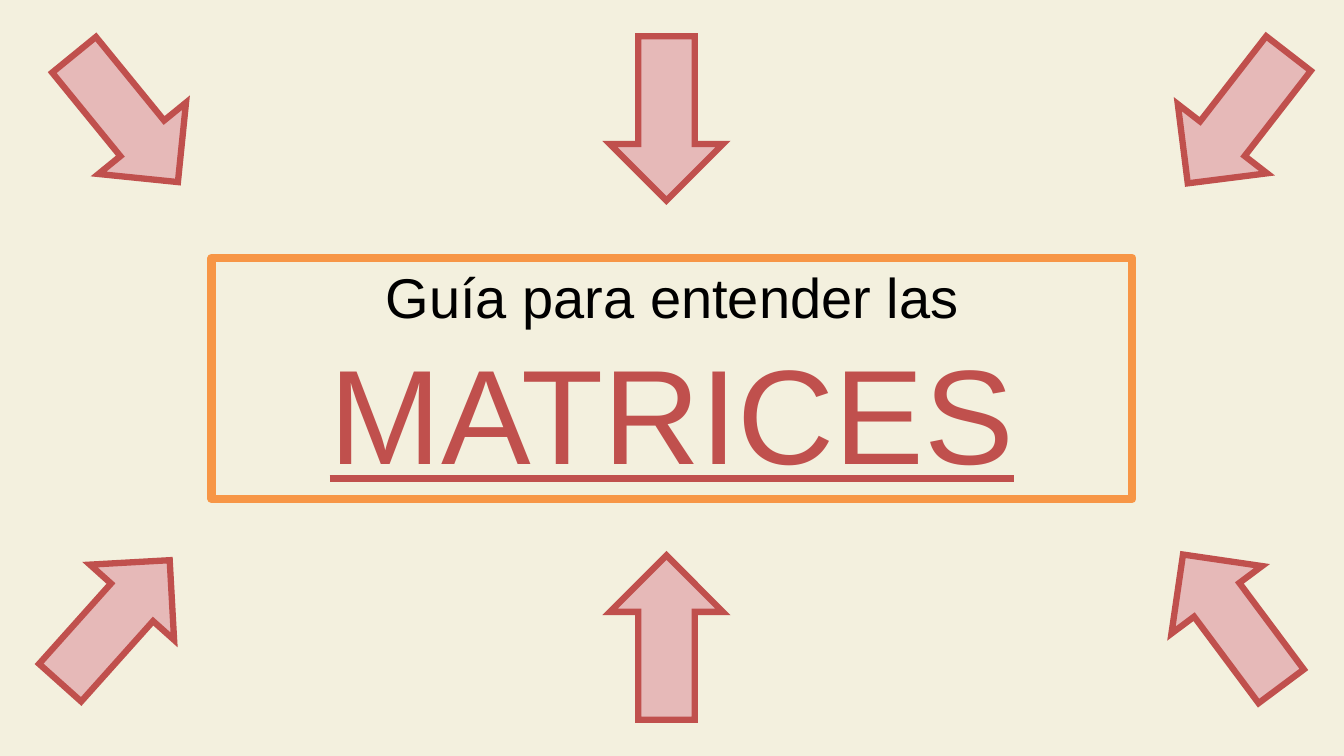
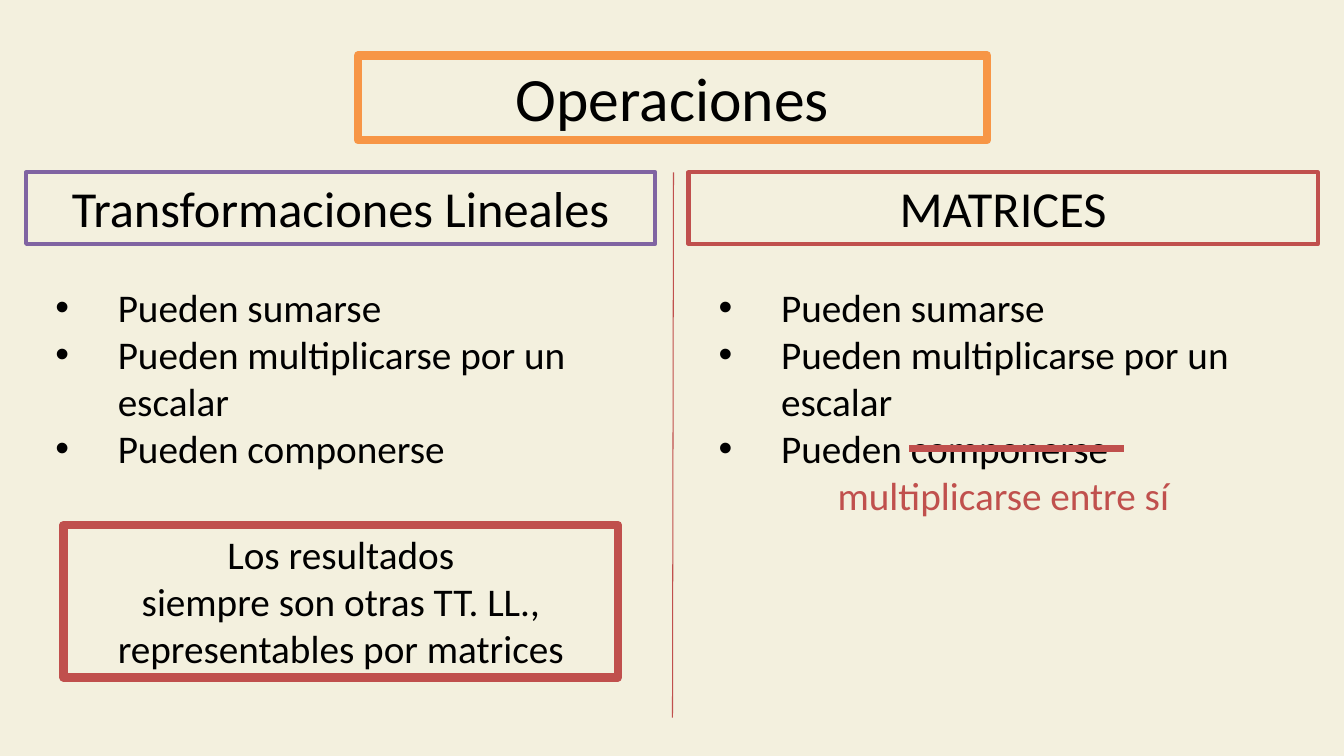
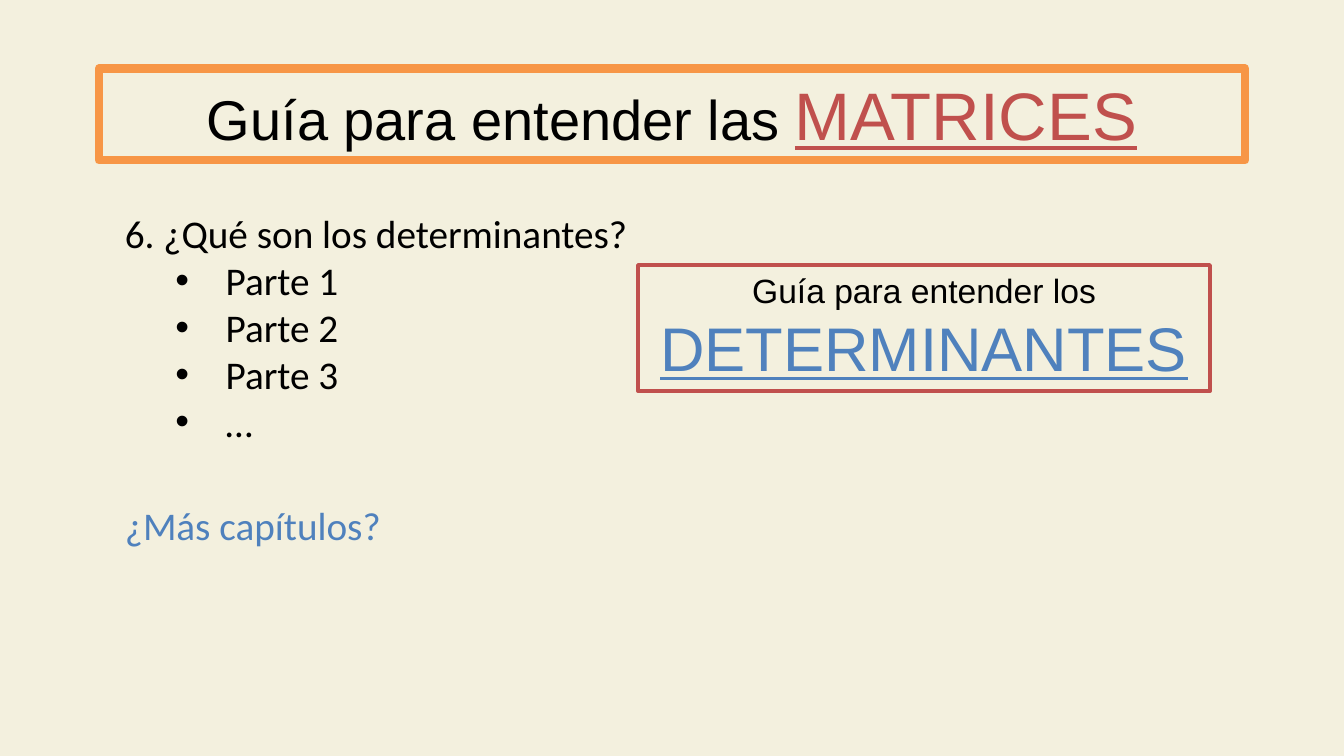
from dataclasses import dataclass
from typing import Optional

from lxml import etree
from pptx import Presentation
from pptx.dml.color import RGBColor
from pptx.enum import shapes, text
from pptx.oxml import ns
from pptx.util import Inches, Pt

CREAM, BLACK, ORANGE, RED = "F3F0DE", "000000", "F79646", "C0504D"
PINK, PURPLE, BLUE = "E6B9B8", "8064A2", "4F81BD"
ARROW_W, ARROW_H = 1.12, 1.63


@dataclass(frozen=True)
class Run:
    """A piece of text with one look."""
    text: str
    size: float
    font: str = "Calibri"
    color: str = BLACK
    underline: bool = False


@dataclass(frozen=True)
class Para:
    """A paragraph; margin and indent are inches."""
    runs: tuple[Run, ...]
    bullet: bool = False
    margin: float = 0
    indent: float = 0


@dataclass(frozen=True)
class Box:
    """A text block, framed when it has a line colour."""
    left: float
    top: float
    width: float
    height: float
    paras: list[Para]
    line: Optional[str] = None
    weight: float = 3


@dataclass(frozen=True)
class Arrow:
    """A block arrow, turned clockwise from pointing down."""
    left: float
    top: float
    rotation: float = 0


def rgb(color: str) -> RGBColor:
    """Turn a hex string into a colour."""
    return RGBColor.from_string(color)


def add_xml(parent, tag: str, **attrs: str) -> None:
    """Append a DrawingML element."""
    etree.SubElement(parent, ns.qn(tag), attrs)


def outline(shape, color: str, weight: float, join: str) -> None:
    """Set a shape's line and its corner join."""
    shape.line.color.rgb = rgb(color)
    shape.line.width = Pt(weight)
    add_xml(shape.line._get_or_add_ln(), join)


def style(font, run: Run) -> None:
    """Apply a run's look to a font."""
    font.name, font.size = run.font, Pt(run.size)
    font.color.rgb = rgb(run.color)
    font.underline = run.underline


def write(tf, paras: list[Para], centred: bool) -> None:
    """Fill a text frame with paragraphs."""
    tf.word_wrap = True
    tf.auto_size = text.MSO_AUTO_SIZE.SHAPE_TO_FIT_TEXT
    tf.vertical_anchor = text.MSO_ANCHOR.TOP
    for i, para in enumerate(paras):
        p = tf.add_paragraph() if i else tf.paragraphs[0]
        p.alignment = text.PP_ALIGN.CENTER if centred else text.PP_ALIGN.LEFT
        pPr = p._p.get_or_add_pPr()
        pPr.set("marL", str(Inches(para.margin)))
        pPr.set("indent", str(Inches(para.indent)))
        if para.bullet:
            add_xml(pPr, "a:buFont", typeface="Arial")
            add_xml(pPr, "a:buChar", char="•")
        if len(para.runs) == 1:
            style(p.font, para.runs[0])
        for run in para.runs:
            r = p.add_run()
            r.text = run.text
            if len(para.runs) > 1:
                style(r.font, run)


def add_box(s, box: Box) -> None:
    """Draw a framed or plain text block."""
    area = [Inches(v) for v in (box.left, box.top, box.width, box.height)]
    if box.line:
        sp = s.shapes.add_shape(shapes.MSO_SHAPE.RECTANGLE, *area)
        sp.shadow.inherit = False
        sp.fill.background()
        outline(sp, box.line, box.weight, "a:round")
    else:
        sp = s.shapes.add_textbox(*area)
    write(sp.text_frame, box.paras, centred=box.line is not None)


def add_arrow(s, arrow: Arrow) -> None:
    """Draw a pink block arrow."""
    sp = s.shapes.add_shape(shapes.MSO_SHAPE.DOWN_ARROW, Inches(arrow.left), Inches(arrow.top),
                            Inches(ARROW_W), Inches(ARROW_H))
    sp.rotation = arrow.rotation
    sp.shadow.inherit = False
    sp.fill.solid()
    sp.fill.fore_color.rgb = rgb(PINK)
    outline(sp, RED, 4.5, "a:miter")


def add_line(s, x1: float, y1: float, x2: float, y2: float, weight: float) -> None:
    """Draw a straight red line."""
    c = s.shapes.add_connector(shapes.MSO_CONNECTOR.STRAIGHT,
                               Inches(x1), Inches(y1), Inches(x2), Inches(y2))
    c.line.color.rgb = rgb(RED)
    c.line.width = Pt(weight)
    add_xml(c._element.spPr, "a:effectLst")


def line_of(content: str, size: float = 28, **look) -> Para:
    """Make a paragraph of one run."""
    return Para((Run(content, size, **look),))


def bullets(items: list[str], margin: float, hang: float) -> list[Para]:
    """Make bulleted paragraphs with a hanging indent."""
    return [Para((Run(item, 28),), True, margin, -hang) for item in items]


def add_slide(prs, boxes: list[Box]):
    """Add a cream slide with its text blocks."""
    s = prs.slides.add_slide(prs.slide_layouts[6])
    s.background.fill.solid()
    s.background.fill.fore_color.rgb = rgb(CREAM)
    for box in boxes:
        add_box(s, box)
    return s


def cover(prs) -> None:
    """Build the title slide, ringed by arrows."""
    title = [line_of("Guía para entender las", 40, font="Arial"),
             line_of("MATRICES", 96, font="Arial", color=RED, underline=True)]
    s = add_slide(prs, [Box(2.1, 2.56, 9.13, 2.39, title, ORANGE, 6)])
    for arrow in (Arrow(6.05, 0.36), Arrow(6.05, 5.51, 180), Arrow(0.58, 5.35, 221.8),
                  Arrow(0.69, 0.36, 320.8), Arrow(11.72, 0.36, 37.8),
                  Arrow(11.66, 5.34, 143.3)):
        add_arrow(s, arrow)


def operations(prs) -> None:
    """Compare the operations of linear maps and matrices."""
    rules = bullets(["Pueden sumarse", "Pueden multiplicarse por un escalar",
                     "Pueden componerse"], 0.62, 0.62)
    product = Para((Run("multiplicarse entre sí", 28, color=RED),), margin=1.18)
    results = [line_of("Los resultados"),
               line_of("siempre son otras TT. LL., representables por matrices")]
    s = add_slide(prs, [
        Box(3.55, 0.55, 6.24, 0.84, [line_of("Operaciones", 44)], ORANGE, 6),
        Box(0.26, 1.71, 6.24, 0.71, [line_of("Transformaciones Lineales", 36)], PURPLE),
        Box(6.83, 1.71, 6.24, 0.71, [line_of("MATRICES", 36)], RED),
        Box(0.45, 2.76, 5.86, 1.99, rules),
        Box(7.03, 2.76, 5.86, 2.46, rules + [product]),
        Box(0.63, 5.21, 5.5, 1.51, results, RED, 6),
    ])
    add_line(s, 6.68, 1.71, 6.67, 7.12, 0.75)
    add_line(s, 9.02, 4.45, 11.15, 4.45, 4.5)


def chapters(prs) -> None:
    """List the chapters still to come."""
    title = Para((Run("Guía para entender las ", 40, "Arial"),
                  Run("MATRICES", 48, "Arial", RED, True)))
    parts = bullets(["Parte 1", "Parte 2", "Parte 3", "…"], 1, 0.5)
    guide = [line_of("Guía para entender los", 24, font="Arial"),
             line_of("DETERMINANTES", 44, font="Arial", color=BLUE, underline=True)]
    add_slide(prs, [
        Box(0.98, 0.68, 11.37, 0.91, [title], ORANGE, 6),
        Box(1.14, 2.03, 11.06, 2.46, [line_of("6. ¿Qué son los determinantes?")] + parts),
        Box(1.14, 4.92, 3.24, 0.57, [line_of("¿Más capítulos?", color=BLUE)]),
        Box(6.33, 2.63, 5.67, 1.25, guide, RED),
    ])


def main() -> None:
    """Build and save the presentation."""
    prs = Presentation()
    prs.slide_width, prs.slide_height = Inches(13.33), Inches(7.5)
    for build in (cover, operations, chapters):
        build(prs)
    prs.save("out.pptx")


main()
